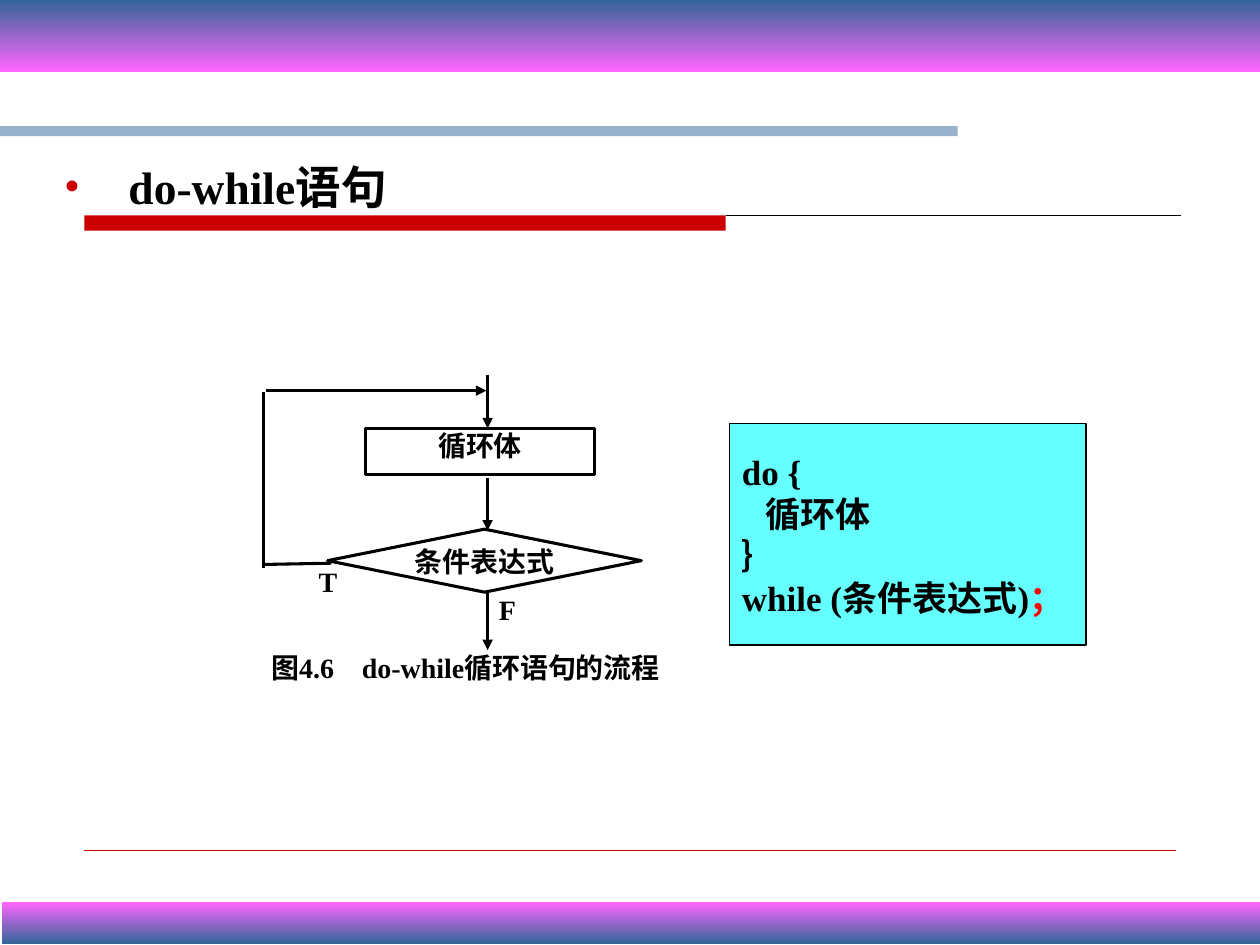
"""Build a slide that explains the do-while statement with a flowchart and its syntax."""
from lxml import etree
from pptx import Presentation
from pptx import util as u
from pptx.dml.color import RGBColor
from pptx.enum import shapes, text
from pptx.oxml.ns import qn

THEME = {
    "font": "Times New Roman",
    "ink": "000000", "paper": "FFFFFF", "red": "CC0000", "alert": "FF0000",
    "cyan": "66FFFF", "blue": "336699", "pink": "FF66FF",
    "heading": 26, "code": 20, "label": 16,
    "hairline": 0.25, "thin": 0.75, "flow": 1.75,
}
HEADING = "do-while语句"
CODE = [
    [("do {", "ink")],
    [("   循环体", "ink")],
    [("｝", "ink")],
    [("while (条件表达式)", "ink"), ("；", "alert")],
]
RECT = shapes.MSO_SHAPE.RECTANGLE
DIAMOND = shapes.MSO_SHAPE.FLOWCHART_DECISION
LEFT, CENTER, JUSTIFY = text.PP_ALIGN.LEFT, text.PP_ALIGN.CENTER, text.PP_ALIGN.JUSTIFY
FLOW_BOXES = [
    ("F", RECT, (3.96, 4.7, 0.26, 0.27), JUSTIFY, "paper", None),
    ("T", RECT, (2.53, 4.48, 0.26, 0.27), JUSTIFY, "paper", None),
    ("图4.6　do-while循环语句的流程", RECT, (1.31, 5.16, 4.77, 0.28), CENTER, None, None),
    ("条件表达式", DIAMOND, (2.6, 4.2, 2.49, 0.5), CENTER, "paper", "ink"),
    ("循环体", RECT, (2.9, 3.4, 1.82, 0.37), CENTER, "paper", "ink"),
]
AXIS, LOOP = 3.87, 2.09
FLOW_LINES = [
    ((AXIS, 2.98), (AXIS, 3.4), True),
    ((AXIS, 3.79), (AXIS, 4.21), True),
    ((2.11, 3.1), (3.86, 3.1), True),
    ((LOOP, 3.11), (LOOP, 4.51), False),
    ((LOOP, 4.48), (2.63, 4.47), False),
    ((AXIS, 4.69), (AXIS, 5.16), True),
]
BANDS = [
    ((0.02, 7.16, 10, 0.33), ("pink", "blue")),
    ((0, 0, 10, 0.57), ("blue", "pink")),
]


def color(name):
    return RGBColor.from_string(THEME[name])


def inches(values):
    return [u.Inches(value) for value in values]


def add_box(page, kind, place, fill=None, line=None, width="thin"):
    box = page.shapes.add_shape(kind, *inches(place))
    box.shadow.inherit = False
    if fill:
        box.fill.solid()
        box.fill.fore_color.rgb = color(fill)
    else:
        box.fill.background()
    if line:
        box.line.color.rgb = color(line)
        box.line.width = u.Pt(THEME[width])
    else:
        box.line.fill.background()
    return box


def add_line(page, start, end, ink, width, arrow=False):
    line = page.shapes.add_connector(shapes.MSO_CONNECTOR.STRAIGHT, *inches(start + end))
    line.line.color.rgb = color(ink)
    line.line.width = u.Pt(THEME[width])
    if arrow:
        etree.SubElement(line.line._get_or_add_ln(), qn("a:tailEnd"), type="triangle")
    etree.SubElement(line._element.spPr, qn("a:effectLst"))


def style(paragraph, size, align):
    paragraph.alignment = align
    font = paragraph.font
    font.name, font.size, font.bold = THEME["font"], u.Pt(THEME[size]), True
    font.color.rgb = color("ink")


def add_rules(page):
    add_line(page, (5.76, 1.71), (9.37, 1.71), "ink", "thin")
    add_box(page, RECT, (0.67, 1.71, 5.09, 0.12), "red")
    add_line(page, (0.67, 6.75), (9.33, 6.75), "red", "hairline")
    bar = add_box(page, RECT, (0, 1, 7.6, 0.08), "blue")
    tint = bar._element.spPr.find(".//" + qn("a:srgbClr"))
    etree.SubElement(tint, qn("a:alpha"), val="50000")


def add_code(page):
    box = add_box(page, RECT, (5.79, 3.36, 2.83, 1.76), "cyan", "ink")
    frame = box.text_frame
    frame.word_wrap = False
    frame.vertical_anchor = text.MSO_ANCHOR.MIDDLE
    for number, spans in enumerate(CODE):
        paragraph = frame.add_paragraph() if number else frame.paragraphs[0]
        style(paragraph, "code", LEFT)
        for words, ink in spans:
            span = paragraph.add_run()
            span.text = words
            span.font.color.rgb = color(ink)


def add_flowchart(page):
    for words, kind, place, align, fill, line in FLOW_BOXES:
        box = add_box(page, kind, place, fill, line, "flow")
        frame = box.text_frame
        frame.word_wrap = True
        frame.vertical_anchor = text.MSO_ANCHOR.TOP
        frame.margin_left = frame.margin_right = frame.margin_top = frame.margin_bottom = 0
        frame.text = words
        style(frame.paragraphs[0], "label", align)
    for start, end, arrow in FLOW_LINES:
        add_line(page, start, end, "ink", "flow", arrow)


def add_bands(page):
    for place, names in BANDS:
        band = add_box(page, RECT, place)
        band.fill.gradient()
        band.fill.gradient_angle = 270
        for stop, name, position in zip(band.fill.gradient_stops, names, (0, 1)):
            stop.color.rgb = color(name)
            stop.position = position


def add_heading(page):
    title = page.shapes.title
    title.left, title.top, title.width, title.height = inches((0.41, 1.21, 3.51, 0.57))
    frame = title.text_frame
    frame.text = HEADING
    frame.word_wrap = True
    frame.auto_size = text.MSO_AUTO_SIZE.NONE
    frame.vertical_anchor = text.MSO_ANCHOR.TOP
    paragraph = frame.paragraphs[0]
    props = paragraph._p.get_or_add_pPr()
    indent = u.Inches(0.51)
    props.set("marL", str(indent))
    props.set("indent", str(-indent))
    bullet_color = etree.SubElement(props, qn("a:buClr"))
    etree.SubElement(bullet_color, qn("a:srgbClr"), val=THEME["red"])
    etree.SubElement(props, qn("a:buFont"), typeface=THEME["font"])
    etree.SubElement(props, qn("a:buChar"), char="•")
    style(paragraph, "heading", LEFT)


def main():
    deck = Presentation()
    deck.slide_width, deck.slide_height = inches((10, 7.5))
    page = deck.slides.add_slide(deck.slide_layouts[5])
    add_rules(page)
    add_code(page)
    add_flowchart(page)
    add_bands(page)
    add_heading(page)
    deck.save("out.pptx")


if __name__ == "__main__":
    main()
